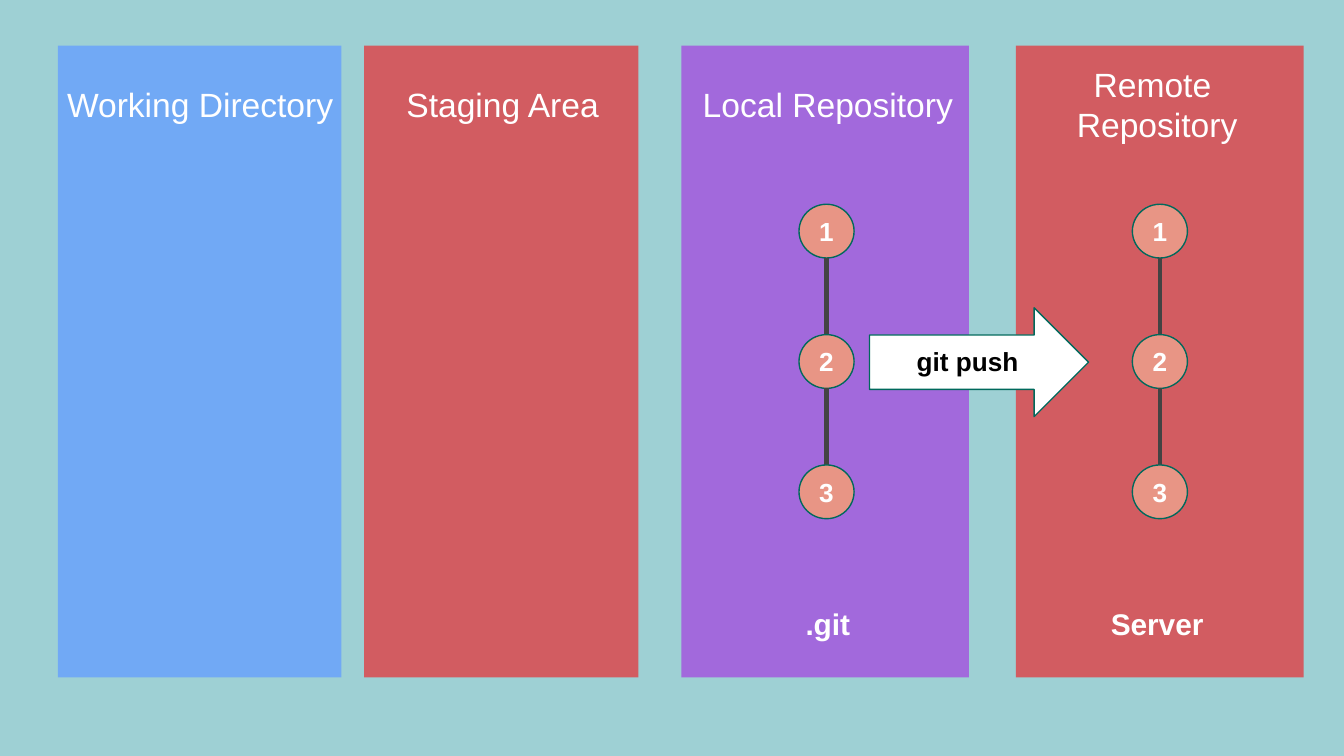
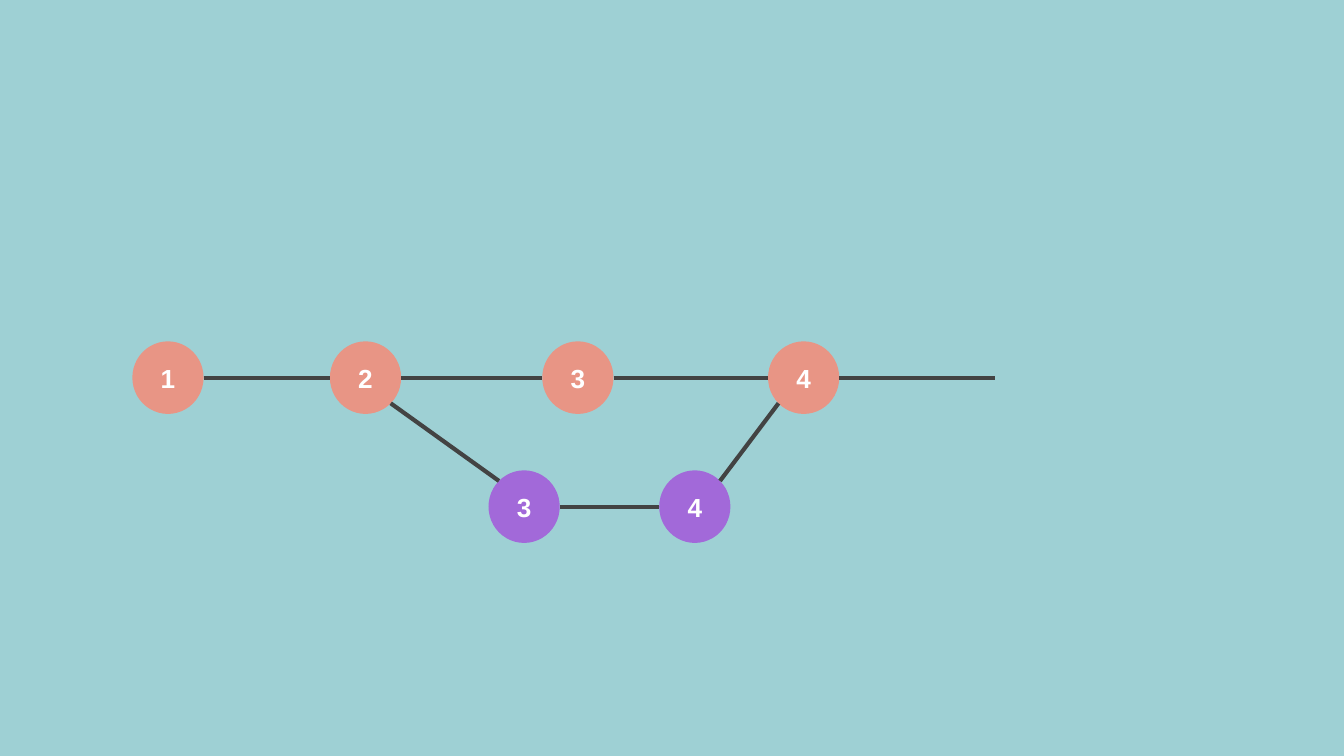
"""Build two slides on git push and on branching and merging."""
import math

import pptx
import pptx.dml.color
import pptx.enum.shapes
import pptx.enum.text
import pptx.oxml
import pptx.util

RGBColor = pptx.dml.color.RGBColor
Inches = pptx.util.Inches
Pt = pptx.util.Pt
MSO_SHAPE = pptx.enum.shapes.MSO_SHAPE

BACKGROUND = RGBColor(0x9E, 0xD0, 0xD4)
BLUE = RGBColor(0x71, 0xA9, 0xF5)
RED = RGBColor(0xD2, 0x5C, 0x61)
PURPLE = RGBColor(0xA2, 0x69, 0xDC)
BRANCH_PURPLE = RGBColor(0xA2, 0x69, 0xD9)
SALMON = RGBColor(0xE8, 0x95, 0x85)
TEAL = RGBColor(0x00, 0x69, 0x5C)
GREY = RGBColor(0x43, 0x43, 0x43)
WHITE = RGBColor(0xFF, 0xFF, 0xFF)
BLACK = RGBColor(0x00, 0x00, 0x00)
FONT = "Arial"

SLIDE_WIDTH = 10
SLIDE_HEIGHT = SLIDE_WIDTH * 9 / 16
PANEL_TOP, PANEL_HEIGHT = 0.34, 4.7
COMMIT_TOP, COMMIT_STEP = 1.52, 0.97
COMMIT_WIDTH, COMMIT_HEIGHT = 0.41, 0.4
NODE_WIDTH, NODE_HEIGHT = 0.53, 0.54
MAIN_Y, BRANCH_Y = 2.81, 3.77


def add_slide(prs):
    """Add a blank slide with the shared background."""
    slide = prs.slides.add_slide(prs.slide_layouts[6])
    slide.background.fill.solid()
    slide.background.fill.fore_color.rgb = BACKGROUND
    return slide


def set_text(sp, text, size, color=WHITE, bold=False, wrap=True):
    """Write centred text into a shape and format its runs."""
    tf = sp.text_frame
    tf.text = text
    tf.word_wrap = wrap
    tf.vertical_anchor = pptx.enum.text.MSO_ANCHOR.MIDDLE
    tf.margin_left = tf.margin_right = Inches(0.1)
    tf.margin_top = tf.margin_bottom = Inches(0.1)
    for p in tf.paragraphs:
        p.alignment = pptx.enum.text.PP_ALIGN.CENTER
        for r in p.runs:
            r.font.name = FONT
            r.font.size = Pt(size)
            r.font.bold = bold
            r.font.color.rgb = color


def add_shape(slide, kind, left, top, width, height, fill, outline=None):
    """Add a filled preset shape with an optional thin outline."""
    sp = slide.shapes.add_shape(kind, Inches(left), Inches(top), Inches(width), Inches(height))
    sp.shadow.inherit = False
    sp.fill.solid()
    sp.fill.fore_color.rgb = fill
    if outline is None:
        sp.line.fill.background()
    else:
        sp.line.color.rgb = outline
        sp.line.width = Pt(0.75)
    return sp


def add_label(slide, text, center, top, width, height, size, color=WHITE, bold=False):
    """Add a text box centred on a horizontal position."""
    sp = slide.shapes.add_textbox(
        Inches(center - width / 2), Inches(top), Inches(width), Inches(height))
    set_text(sp, text, size, color, bold)


def add_line(slide, start, end):
    """Add a straight grey history line."""
    line = slide.shapes.add_connector(
        pptx.enum.shapes.MSO_CONNECTOR.STRAIGHT,
        Inches(start[0]), Inches(start[1]), Inches(end[0]), Inches(end[1]))
    line.line.color.rgb = GREY
    line.line.width = Pt(2.25)
    sp_pr = line._element.spPr
    sp_pr.append(pptx.oxml.parse_xml(
        '<a:effectLst xmlns:a="http://schemas.openxmlformats.org/drawingml/2006/main"/>'))


def add_circle(slide, text, center, width, height, fill, outline=None):
    """Add a numbered commit circle around a centre point."""
    x, y = center
    sp = add_shape(slide, MSO_SHAPE.OVAL, x - width / 2, y - height / 2,
                   width, height, fill, outline)
    set_text(sp, text, 14, bold=True, wrap=False)


def add_panel(slide, title, left, width, center, fill):
    """Add one area of the workflow with its title."""
    add_shape(slide, MSO_SHAPE.RECTANGLE, left, PANEL_TOP, width, PANEL_HEIGHT, fill)
    add_label(slide, title, center, 0.48, 2.74, 0.59, 18)


def add_commit_column(slide, x):
    """Add three commits joined from top to bottom."""
    for i in range(3):
        top = COMMIT_TOP + i * COMMIT_STEP
        add_circle(slide, str(i + 1), (x, top + COMMIT_HEIGHT / 2),
                   COMMIT_WIDTH, COMMIT_HEIGHT, SALMON, TEAL)
        if i < 2:
            add_line(slide, (x, top + COMMIT_HEIGHT), (x, top + COMMIT_STEP))


def rim_point(center, degrees):
    """Return the point on a branch node's rim, clockwise from the right."""
    angle = math.radians(degrees)
    return (center[0] + NODE_WIDTH / 2 * math.cos(angle),
            center[1] + NODE_HEIGHT / 2 * math.sin(angle))


def build_push_slide(prs):
    """Show commits pushed from the local to the remote repository."""
    slide = add_slide(prs)
    panels = [
        ("Working Directory", 0.43, 2.11, 1.49, BLUE),
        ("Staging Area", 2.71, 2.04, 3.74, RED),
        ("Local Repository", 5.07, 2.14, 6.16, PURPLE),
        ("Remote \nRepository", 7.56, 2.14, 8.61, RED),
    ]
    for panel in panels:
        add_panel(slide, *panel)
    for caption, center, commit_x in ((".git", 6.16, 6.15), ("Server", 8.61, 8.63)):
        add_label(slide, caption, center, 4.44, 1.83, 0.4, 16, bold=True)
        add_commit_column(slide, commit_x)
    add_shape(slide, MSO_SHAPE.RIGHT_ARROW, 6.47, 2.29, 1.63, 0.81, WHITE, TEAL)
    add_label(slide, "git push", 7.2, 2.55, 1.13, 0.27, 14, BLACK, bold=True)


def build_branch_slide(prs):
    """Show a branch leaving the main line and merging back."""
    slide = add_slide(prs)
    main_nodes = [(x, MAIN_Y) for x in (1.25, 2.72, 4.3, 5.98)]
    branch_nodes = [(x, BRANCH_Y) for x in (3.9, 5.17)]
    for nodes, first, fill in ((main_nodes, 1, SALMON), (branch_nodes, 3, BRANCH_PURPLE)):
        for number, center in enumerate(nodes, first):
            add_circle(slide, str(number), center, NODE_WIDTH, NODE_HEIGHT, fill)
        for start, end in zip(nodes, nodes[1:]):
            add_line(slide, rim_point(start, 0), rim_point(end, 180))
    add_line(slide, rim_point(main_nodes[1], 45), rim_point(branch_nodes[0], 225))
    add_line(slide, rim_point(branch_nodes[1], -45), rim_point(main_nodes[3], 135))
    add_line(slide, rim_point(main_nodes[3], 0), (7.4, MAIN_Y))


def main():
    """Build and save the presentation."""
    prs = pptx.Presentation()
    prs.slide_width = Inches(SLIDE_WIDTH)
    prs.slide_height = Inches(SLIDE_HEIGHT)
    build_push_slide(prs)
    build_branch_slide(prs)
    prs.save("out.pptx")


if __name__ == "__main__":
    main()
